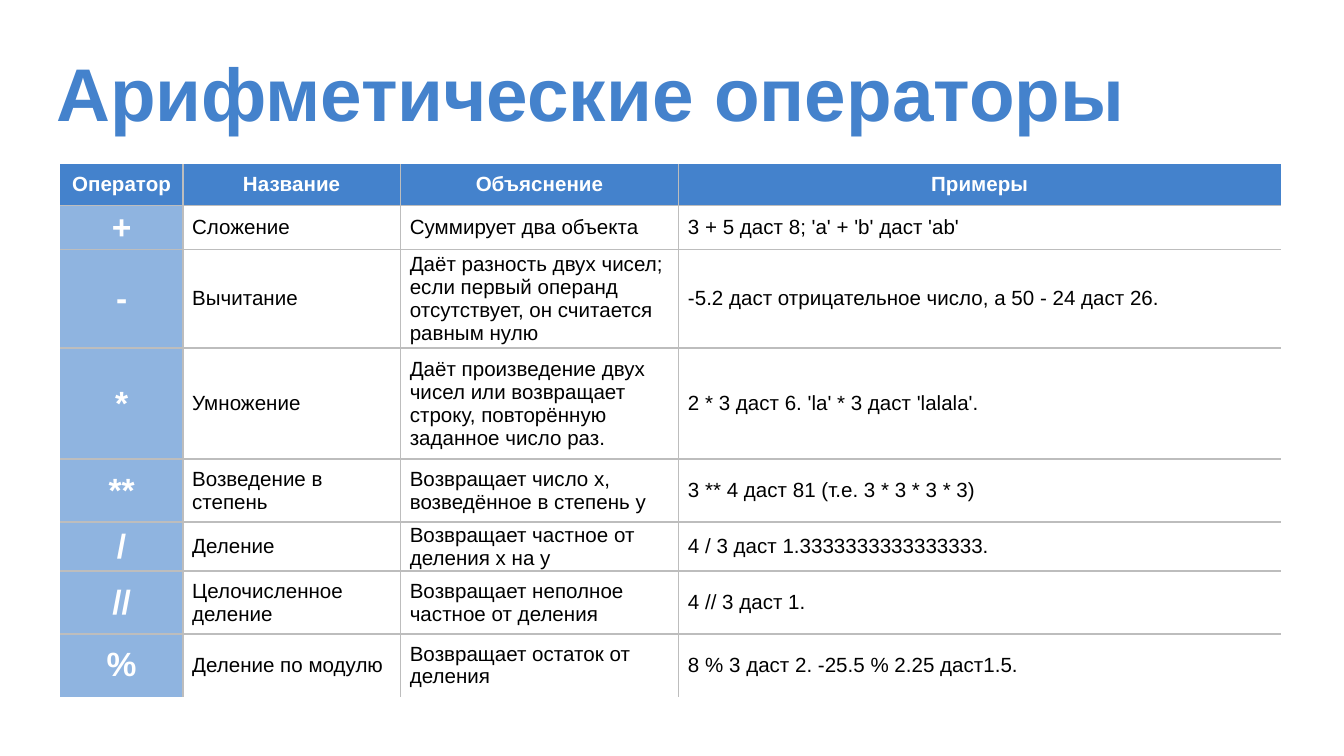
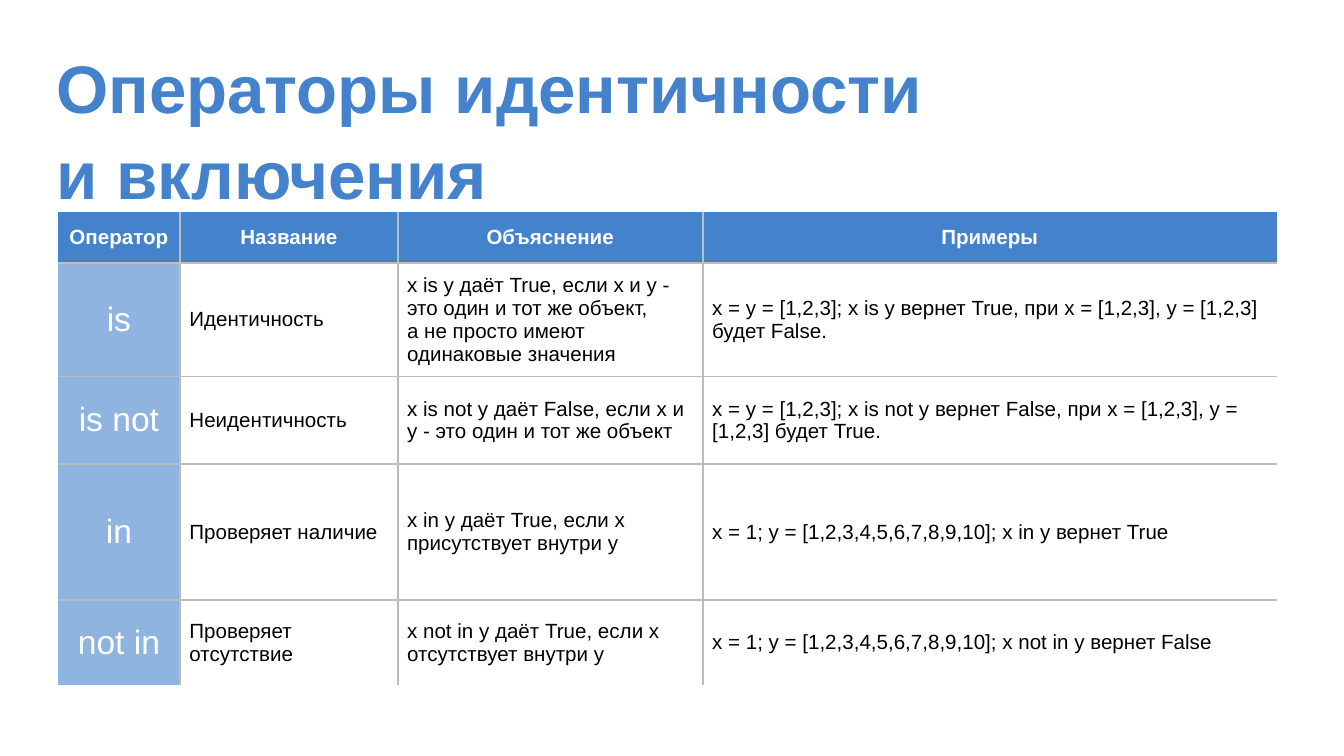
from pptx import Presentation
from pptx import util as u
from pptx.dml.color import RGBColor
from pptx.enum import text
from pptx.oxml import parse_xml
from pptx.oxml.ns import nsdecls

BLUE = RGBColor(0x44, 0x82, 0xCC)
LIGHT_BLUE = RGBColor(0x8F, 0xB4, 0xE0)
GREY = RGBColor(0xBD, 0xBD, 0xBD)
WHITE = RGBColor(0xFF, 0xFF, 0xFF)
BLACK = RGBColor(0x00, 0x00, 0x00)

HEADER = ("Оператор", "Название", "Объяснение", "Примеры")

ARITHMETIC = [
    ("+", "Сложение", "Суммирует два объекта", "3 + 5 даст 8; 'a' + 'b' даст 'ab'"),
    ("-", "Вычитание",
     "Даёт разность двух чисел; если первый операнд отсутствует, он считается равным нулю",
     "-5.2 даст отрицательное число, а 50 - 24 даст 26."),
    ("*", "Умножение",
     "Даёт произведение двух чисел или возвращает строку, повторённую заданное число раз.",
     "2 * 3 даст 6. 'la' * 3 даст 'lalala'."),
    ("**", "Возведение в степень", "Возвращает число х, возведённое в степень y",
     "3 ** 4 даст 81 (т.е. 3 * 3 * 3 * 3)"),
    ("/", "Деление", "Возвращает частное от деления x на y",
     "4 / 3 даст 1.3333333333333333."),
    ("//", "Целочисленное деление", "Возвращает неполное частное от деления",
     "4 // 3 даст 1."),
    ("%", "Деление по модулю", "Возвращает остаток от деления",
     "8 % 3 даст 2. -25.5 % 2.25 даст1.5."),
]

IDENTITY = [
    ("is", "Идентичность",
     "x is y даёт True, если x и y - это один и тот же объект,\n"
     "а не просто имеют одинаковые значения",
     "x = y = [1,2,3]; x is y вернет True, при x = [1,2,3], y = [1,2,3] будет False."),
    ("is not", "Неидентичность",
     "x is not y даёт False, если x и y - это один и тот же объект",
     "x = y = [1,2,3]; x is not y вернет False, при x = [1,2,3], y = [1,2,3] будет True."),
    ("in", "Проверяет наличие", "x in y даёт True, если x присутствует внутри y",
     "x = 1; y = [1,2,3,4,5,6,7,8,9,10]; x in y вернет True"),
    ("not in", "Проверяет отсутствие", "x not in y даёт True, если x отсутствует внутри y",
     "x = 1; y = [1,2,3,4,5,6,7,8,9,10]; x not in y вернет False"),
]


class Deck:
    font_name = "Arial"
    body_size = 11
    operator_size = 18
    title_spacing = 1.07
    grid = 100

    def __init__(self):
        self.presentation = Presentation()
        self.presentation.slide_width = u.Inches(10)
        self.presentation.slide_height = u.Inches(5.625)
        self.slide = None

    def columns(self, count):
        return round(self.presentation.slide_width * count / self.grid)

    def rows(self, count):
        return round(self.presentation.slide_height * count / self.grid)

    def add_slide(self):
        self.slide = self.presentation.slides.add_slide(self.presentation.slide_layouts[6])

    def set_font(self, paragraph, size, color, bold):
        font = paragraph.font
        font.name = self.font_name
        font.size = u.Pt(size)
        font.color.rgb = color
        font.bold = bold

    def title(self, words, width, size):
        shape = self.slide.shapes.add_textbox(
            self.columns(3.2), self.rows(3.6), self.columns(width), self.rows(13.5))
        frame = shape.text_frame
        frame.word_wrap = True
        frame.margin_left = frame.margin_right = u.Inches(0.1)
        frame.margin_top = frame.margin_bottom = u.Inches(0.1)
        frame.text = words
        paragraph = frame.paragraphs[0]
        paragraph.line_spacing = self.title_spacing
        self.set_font(paragraph, size, BLUE, True)

    def borders(self, cell, inner_sides):
        properties = cell._tc.get_or_add_tcPr()
        for index, (side, inner) in enumerate(inner_sides.items()):
            paint = (f'<a:solidFill><a:srgbClr val="{GREY}"/></a:solidFill>'
                     if inner else "<a:noFill/>")
            line = parse_xml(f'<a:{side} {nsdecls("a")} w="{u.Pt(1)}">{paint}</a:{side}>')
            properties.insert(index, line)

    def cell(self, cell, words, fill, size, color, bold, centred):
        cell.text = words
        cell.fill.solid()
        cell.fill.fore_color.rgb = fill
        cell.vertical_anchor = text.MSO_ANCHOR.MIDDLE
        cell.margin_left = cell.margin_right = u.Inches(0.07)
        cell.margin_top = cell.margin_bottom = 0
        for paragraph in cell.text_frame.paragraphs:
            paragraph.alignment = text.PP_ALIGN.CENTER if centred else text.PP_ALIGN.LEFT
            self.set_font(paragraph, size, color, bold)

    def table(self, operators, left, top, widths, heights, bold_operators):
        content = [HEADER, *operators]
        table = self.slide.shapes.add_table(
            len(heights), len(widths), self.columns(left), self.rows(top),
            self.columns(sum(widths)), self.rows(sum(heights))).table
        for column, width in zip(table.columns, widths):
            column.width = self.columns(width)
        for row, height in zip(table.rows, heights):
            row.height = self.rows(height)
        header_style = (BLUE, self.body_size, WHITE, True, True)
        operator_style = (LIGHT_BLUE, self.operator_size, WHITE, bold_operators, True)
        body_style = (WHITE, self.body_size, BLACK, False, False)
        for i, line in enumerate(content):
            for j, words in enumerate(line):
                style = header_style if i == 0 else operator_style if j == 0 else body_style
                cell = table.cell(i, j)
                self.cell(cell, words, *style)
                self.borders(cell, {"lnL": j > 0, "lnR": j < len(widths) - 1,
                                    "lnT": i > 0, "lnB": i < len(heights) - 1})


def main():
    deck = Deck()

    deck.add_slide()
    deck.title("Арифметические операторы", width=89, size=40)
    deck.table(ARITHMETIC, left=4.5, top=21.7, widths=(9.1, 16.2, 20.7, 44.8),
               heights=(5.5, 5.8, 12.4, 14.7, 8.3, 6.3, 8.3, 8.3), bold_operators=True)

    deck.add_slide()
    deck.title("Операторы идентичности и включения", width=69.9, size=36)
    deck.table(IDENTITY, left=4.3, top=28.1, widths=(9.1, 16.2, 22.7, 42.7),
               heights=(6.7, 15, 11.6, 18, 11.2), bold_operators=False)

    deck.presentation.save("out.pptx")


if __name__ == "__main__":
    main()
